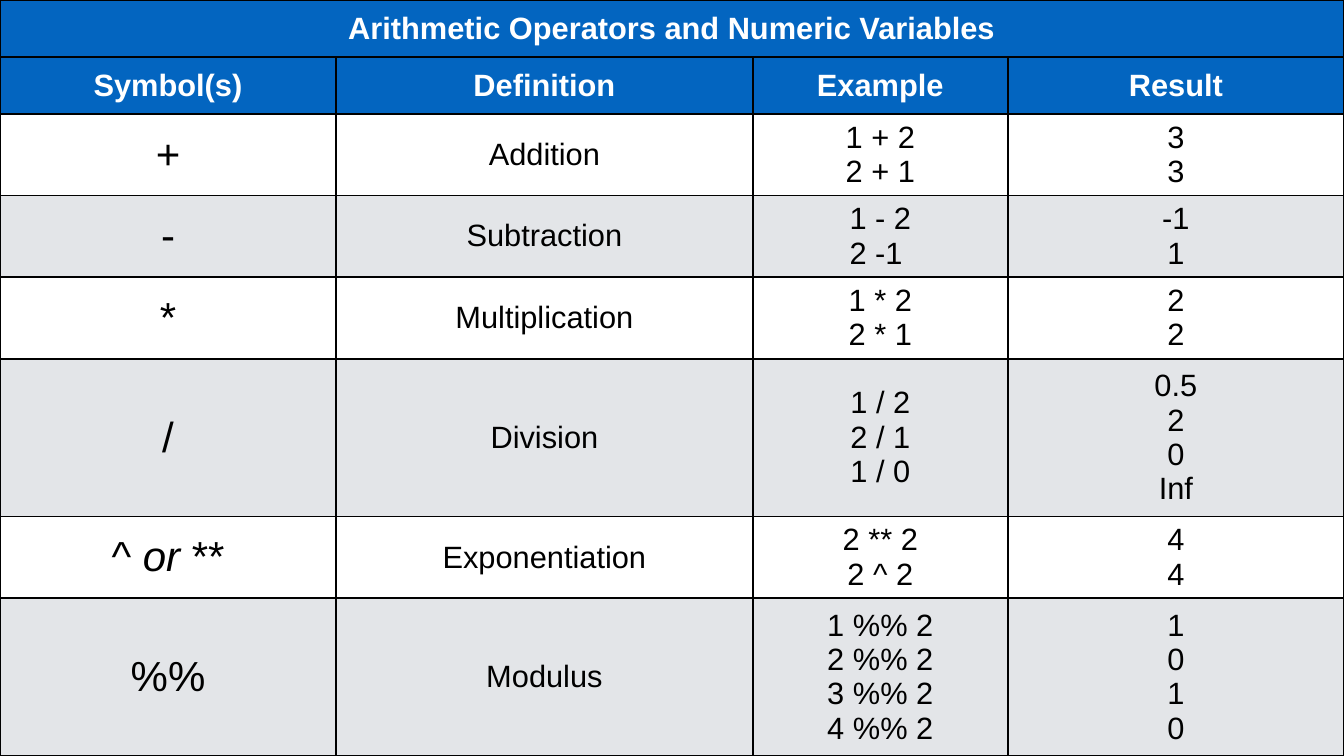
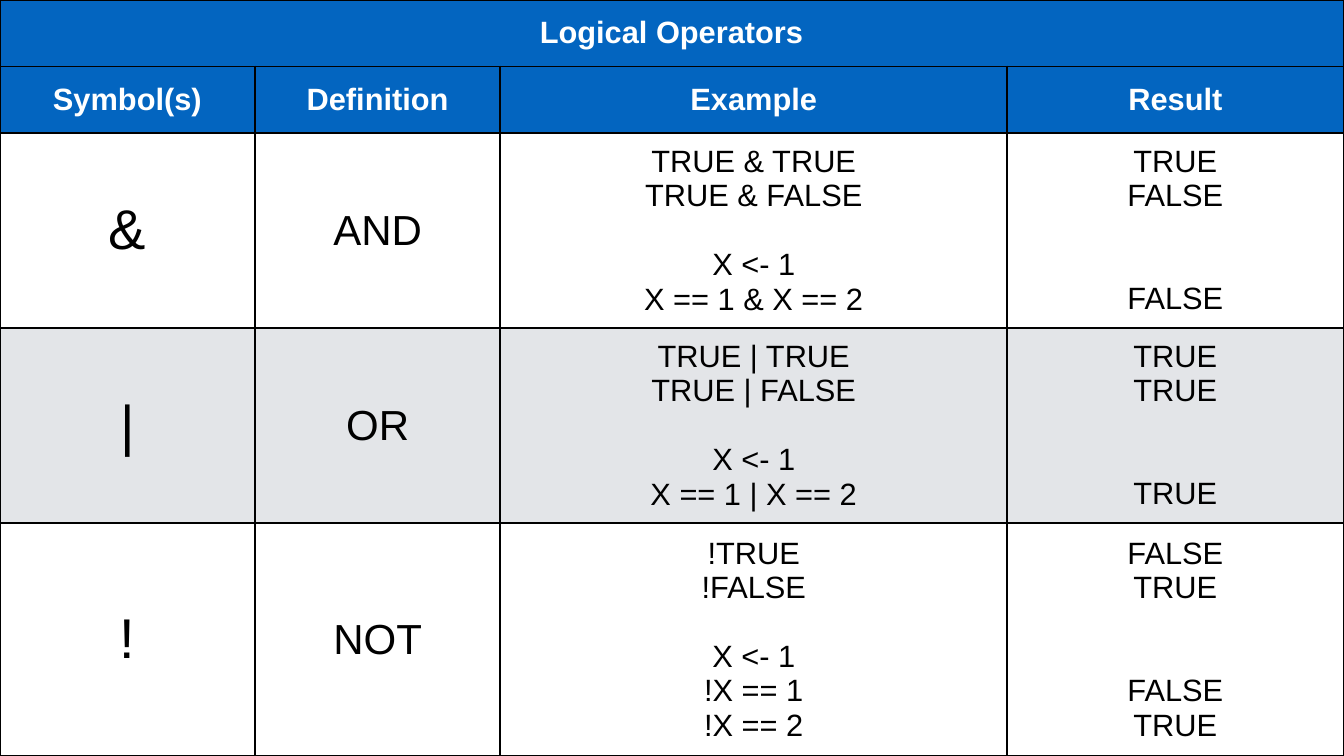
from dataclasses import dataclass

from lxml.etree import SubElement
from pptx import Presentation
from pptx.dml.color import RGBColor
from pptx.enum.text import MSO_ANCHOR, PP_ALIGN
from pptx.oxml.ns import qn
from pptx.util import Inches, Pt


@dataclass(frozen=True)
class Theme:
    font: str = "Arial"
    blue: str = "0365C0"
    white: str = "FFFFFF"
    grey: str = "E3E5E8"
    black: str = "000000"
    small: int = 44
    large: int = 60
    huge: int = 80
    gap: int = 49
    line: int = 3
    inset: float = 0.06
    width: float = 26.67
    height: float = 15


THEME = Theme()
HEADS = ("Symbol(s)", "Definition", "Example", "Result")

MATHS = (
    ("+", "Addition", "1 + 2\n2 + 1", "3\n3"),
    ("-", "Subtraction", "1 - 2\n2 -1 ", "-1\n1"),
    ("*", "Multiplication", "1 * 2\n2 * 1", "2\n2"),
    ("/", "Division", "1 / 2\n2 / 1\n1 / 0", "0.5\n2\n0\nInf"),
    ("^ _or_ **", "Exponentiation", "2 ** 2\n2 ^ 2", "4\n4"),
    ("%%", "Modulus", "1 %% 2\n2 %% 2\n3 %% 2\n4 %% 2", "1\n0\n1\n0"),
)
LOGIC = (
    ("&", "AND", "TRUE & TRUE\nTRUE & FALSE\n\nX <- 1\nX == 1 & X == 2",
     "TRUE\nFALSE\n\n\nFALSE"),
    ("|", "OR", "TRUE | TRUE\nTRUE | FALSE\n\nX <- 1\nX == 1 | X == 2",
     "TRUE\nTRUE\n\n\nTRUE"),
    ("!", "NOT", "!TRUE\n!FALSE\n\nX <- 1\n!X == 1\n!X == 2",
     "FALSE\nTRUE\n\n\nFALSE\nTRUE"),
)


class Deck:
    def __init__(self, theme):
        self.theme = theme
        self.show = Presentation()
        self.show.slide_width = Inches(theme.width)
        self.show.slide_height = Inches(theme.height)
        self.slide = None

    def start(self):
        self.slide = self.show.slides.add_slide(self.show.slide_layouts[6])

    def label(self, cell, text, size, ink, bold):
        frame = cell.text_frame
        skipped = 0
        for rank, line in enumerate(text.split("\n")):
            if not line:
                skipped += 1
                continue
            para = frame.add_paragraph() if rank else frame.paragraphs[0]
            para.alignment = PP_ALIGN.CENTER
            if skipped:
                para.space_before = Pt(self.theme.gap * skipped)
                skipped = 0
            for part, words in enumerate(line.split("_")):
                run = para.add_run()
                run.text = words
                font = run.font
                font.name = self.theme.font
                font.size = Pt(size)
                font.bold = bold
                font.italic = part % 2 == 1
                font.color.rgb = RGBColor.from_string(ink)

    def paint(self, cell, fill):
        cell.vertical_anchor = MSO_ANCHOR.MIDDLE
        inset = Inches(self.theme.inset)
        cell.margin_left = cell.margin_right = inset
        cell.margin_top = cell.margin_bottom = inset
        props = cell._tc.get_or_add_tcPr()
        for side in ("a:lnL", "a:lnR", "a:lnT", "a:lnB"):
            edge = SubElement(props, qn(side), w=str(Pt(self.theme.line)))
            solid = SubElement(edge, qn("a:solidFill"))
            SubElement(solid, qn("a:srgbClr"), val=self.theme.black)
        cell.fill.solid()
        cell.fill.fore_color.rgb = RGBColor.from_string(fill)

    def table(self, title, body, widths, heights, sizes):
        look = self.theme
        rows = ((title, "", "", ""), HEADS) + body
        table = self.slide.shapes.add_table(
            len(rows), len(widths), 0, 0,
            Inches(look.width), Inches(look.height)).table
        table.first_row = table.horz_banding = False
        for col, width in zip(table.columns, widths):
            col.width = Inches(width)
        for row, height in zip(table.rows, heights):
            row.height = Inches(height)
        table.cell(0, 0).merge(table.cell(0, len(widths) - 1))
        for r, texts in enumerate(rows):
            head = r < 2
            fill = look.blue if head else (look.white, look.grey)[r % 2]
            ink = look.white if head else look.black
            for c, text in enumerate(texts):
                cell = table.cell(r, c)
                self.paint(cell, fill)
                if text:
                    size = look.small if head else sizes[c]
                    self.label(cell, text, size, ink, head)


def main():
    deck = Deck(THEME)
    small, large, huge = THEME.small, THEME.large, THEME.huge
    deck.start()
    deck.table("Arithmetic Operators and Numeric Variables", MATHS,
               (6.67, 8.27, 5.06, 6.67),
               (1.13, 1.13, 1.62, 1.62, 1.62, 3.13, 1.62, 3.13),
               (large, small, small, small))
    deck.start()
    deck.table("Logical Operators", LOGIC,
               (5.06, 4.87, 10.06, 6.67),
               (1.32, 1.32, 3.87, 3.87, 4.62),
               (huge, large, small, small))
    deck.show.save("out.pptx")


if __name__ == "__main__":
    main()
